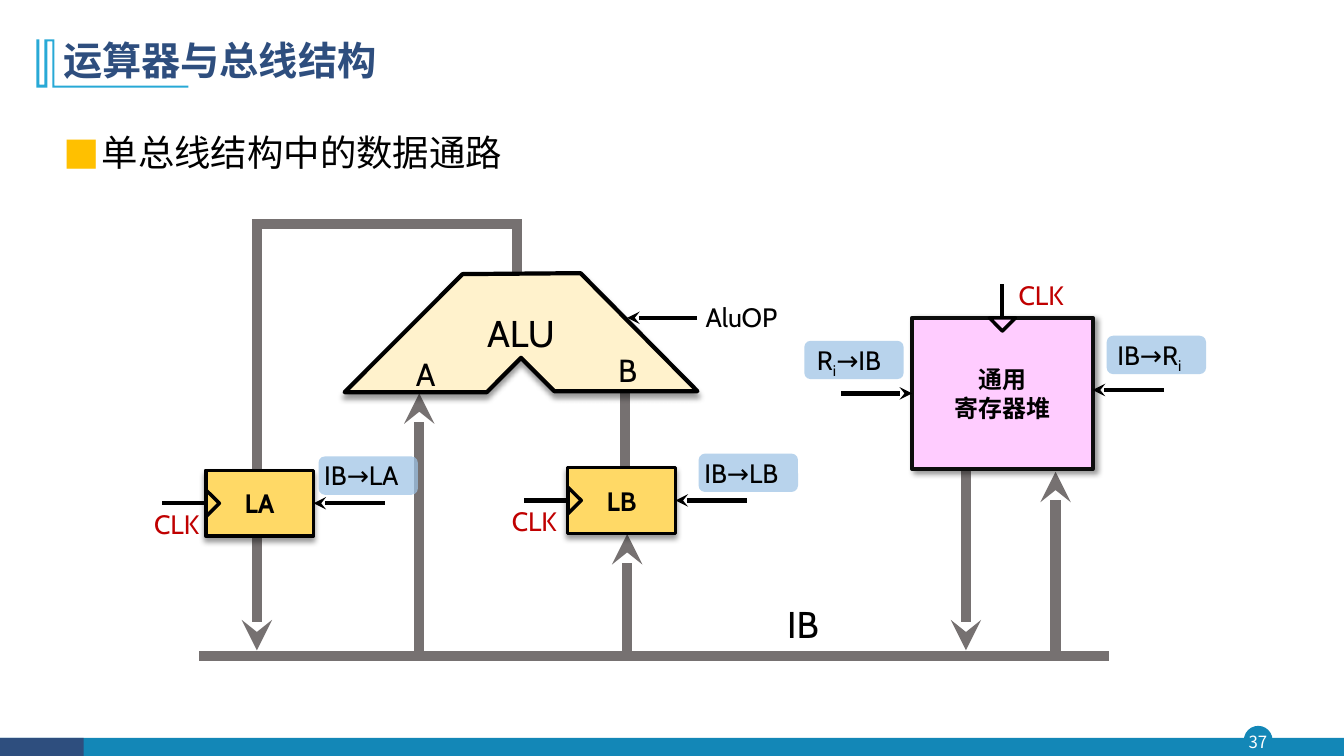
from lxml import etree
from pptx import Presentation
from pptx.dml.color import RGBColor
from pptx.enum.shapes import MSO_CONNECTOR, MSO_SHAPE
from pptx.enum.text import MSO_ANCHOR, MSO_AUTO_SIZE, PP_ALIGN
from pptx.oxml.ns import qn
from pptx.util import Pt

RECT, ROUND = MSO_SHAPE.RECTANGLE, MSO_SHAPE.ROUNDED_RECTANGLE
OVAL, TRIANGLE = MSO_SHAPE.OVAL, MSO_SHAPE.ISOSCELES_TRIANGLE
STRAIGHT = MSO_CONNECTOR.STRAIGHT
LEFT, CENTER, RIGHT, JUSTIFY = (PP_ALIGN.LEFT, PP_ALIGN.CENTER,
                                PP_ALIGN.RIGHT, PP_ALIGN.JUSTIFY)
TOP, MIDDLE = MSO_ANCHOR.TOP, MSO_ANCHOR.MIDDLE
NO_FIT = MSO_AUTO_SIZE.NONE

LATIN, CJK = "Cabin", "Noto Sans CJK SC"
BLACK, WHITE, RED, GREY = "000000", "FFFFFF", "C00000", "767171"
NAVY, TEAL, SKY, AMBER = "2E4E7E", "1387B7", "28A9D6", "FFC000"
GOLD, CREAM, PINK, LABEL = "FFD966", "FFF2CC", "FFCCFF", "9DC3E6"


def rgb(value):
    """Turn a hex string into a colour."""
    return RGBColor.from_string(value)


def sub(parent, tag, **attrs):
    """Append a drawing element with attributes."""
    el = etree.SubElement(parent, qn(tag))
    for key, value in attrs.items():
        el.set(key, str(value))
    return el


class Deck:
    """Hold the style and the current slide; lengths are points."""

    def __init__(self):
        """Start a wide deck with one slide."""
        self.prs = Presentation()
        self.prs.slide_width, self.prs.slide_height = Pt(960), Pt(540)
        self.s = self.prs.slides.add_slide(self.prs.slide_layouts[1])

    def format(self, tf, size, color=BLACK, font=LATIN, bold=False, align=LEFT):
        """Format every run of a text frame."""
        for p in tf.paragraphs:
            p.alignment = align
            for r in p.runs:
                r.font.size, r.font.bold = Pt(size), bold
                r.font.color.rgb = rgb(color)
                r.font.name = font
                sub(r._r.get_or_add_rPr(), "a:ea", typeface=font)

    def paint(self, sp, fill, line=None, width=1, shadow=None):
        """Set fill, outline and an optional shadow angle."""
        sp.fill.solid()
        sp.fill.fore_color.rgb = rgb(fill)
        if line:
            sp.line.color.rgb = rgb(line)
            sp.line.width = Pt(width)
        else:
            sp.line.fill.background()
        sp.shadow.inherit = False
        if shadow is not None:
            effects = sp._element.spPr.find(qn("a:effectLst"))
            outer = sub(effects, "a:outerShdw", blurRad=Pt(4), dist=Pt(3),
                        dir=shadow * 60000, algn="t", rotWithShape=0)
            sub(sub(outer, "a:srgbClr", val=BLACK), "a:alpha", val=40000)
        return sp

    def shape(self, kind, x, y, w, h, fill, rotation=0, **style):
        """Add a preset shape."""
        sp = self.s.shapes.add_shape(kind, Pt(x), Pt(y), Pt(w), Pt(h))
        sp.rotation = rotation
        return self.paint(sp, fill, **style)

    def outline(self, points, fill, **style):
        """Add a closed freeform."""
        points = [(Pt(x), Pt(y)) for x, y in points]
        builder = self.s.shapes.build_freeform(*points[0])
        builder.add_line_segments(points[1:], close=True)
        return self.paint(builder.convert_to_shape(), fill, **style)

    def caption(self, sp, text, size, **style):
        """Write centred text in a shape."""
        tf = sp.text_frame
        tf.text = text
        tf.vertical_anchor = MIDDLE
        self.format(tf, size, align=CENTER, **style)

    def text(self, x, y, w, h, text, size=19, wrap=True, **style):
        """Add a text box; return its frame."""
        tf = self.s.shapes.add_textbox(Pt(x), Pt(y), Pt(w), Pt(h)).text_frame
        tf.text = text
        tf.word_wrap = wrap
        self.format(tf, size, **style)
        return tf

    def line(self, x1, y1, x2, y2, color=BLACK, width=3, arrow=False, join=None):
        """Add a line, optionally joined to a (shape, site) at its end."""
        cx = self.s.shapes.add_connector(STRAIGHT, Pt(x1), Pt(y1), Pt(x2), Pt(y2))
        cx.line.color.rgb = rgb(color)
        cx.line.width = Pt(width)
        if arrow:
            sub(cx.line._get_or_add_ln(), "a:tailEnd", type="stealth")
        sub(cx._element.spPr, "a:effectLst")
        if join:
            cx.end_connect(*join)

    def bus(self, *ends, arrow=True):
        """Add a thick grey bus segment."""
        self.line(*ends, color=GREY, width=7.25, arrow=arrow)

    def label(self, x, y, parts, dx=-3):
        """Add a translucent control label; odd parts are subscripts."""
        sp = self.shape(ROUND, x, y, 71, 27.4, LABEL)
        sub(sp._element.spPr.find(".//" + qn("a:srgbClr")), "a:alpha", val=72000)
        tf = self.text(x + dx, y - 1.5, 94, 24.5, "")
        for i, part in enumerate(parts):
            r = tf.paragraphs[0].add_run()
            r.text = part
            if i % 2:
                r._r.get_or_add_rPr().set("baseline", "-25000")
        self.format(tf, 19)

    def latch(self, name, x, y, clk_x, label_x, label_y):
        """Add a clocked latch with its control input."""
        mid = y + 23.5
        box = self.shape(RECT, x, y, 77, 47, GOLD, line=BLACK, width=2.5, shadow=90)
        self.caption(box, name, 19, bold=True)
        self.shape(TRIANGLE, x - 4.35, mid - 4.7, 18.7, 9.4, GOLD, rotation=90,
                   line=BLACK, width=2.5)
        self.line(x + 128, mid, x + 77, mid, arrow=True, join=(box, 3))
        self.line(x - 31, mid, x, mid, join=(box, 1))
        self.text(clk_x, mid - 0.5, 60, 24.5, "CLK", color=RED)
        self.label(label_x, label_y, ("IB→" + name,))

    def frame(self, title, bullet, number):
        """Add the page furniture, the title and the bullet."""
        self.shape(OVAL, 889, 519, 19.5, 19.5, TEAL, line=TEAL)
        self.shape(RECT, 0, 527, 960, 13, TEAL)
        self.shape(RECT, 0, 527, 59.8, 13, NAVY)
        tf = self.text(887, 519, 23, 22.3, number, 12, color=WHITE, font=CJK,
                       align=CENTER)
        tf.margin_left = tf.margin_right = tf.margin_top = tf.margin_bottom = 0
        tf.vertical_anchor = MIDDLE
        self.outline([(38.9, 28.1), (38.9, 61.2), (134.6, 61.2), (134.6, 62.6),
                      (37.4, 62.6), (37.4, 29.5), (33.8, 29.5), (33.8, 62.6),
                      (25.9, 62.6), (25.9, 28.1), (28.1, 28.1), (28.1, 60.5),
                      (31.7, 60.5), (31.7, 28.1)], SKY)
        head, body = self.s.placeholders
        for sp, text, y, h, anchor, spacing in (
                (head, title, 20, 49, MIDDLE, 0.9), (body, bullet, 74, 73, TOP, 1.5)):
            sp.left, sp.top, sp.width, sp.height = Pt(38), Pt(y), Pt(828), Pt(h)
            tf = sp.text_frame
            tf.text = text
            tf.vertical_anchor, tf.auto_size = anchor, NO_FIT
            tf.paragraphs[0].line_spacing = spacing
            tf.paragraphs[0].space_before = Pt(0)
        self.format(head.text_frame, 28, NAVY, CJK, bold=True)
        pPr = body.text_frame.paragraphs[0]._p.get_or_add_pPr()
        pPr.set("marL", str(Pt(27.4)))
        pPr.set("indent", str(Pt(-27.4)))
        sub(sub(pPr, "a:buClr"), "a:srgbClr", val=AMBER)
        sub(pPr, "a:buFont", typeface=CJK)
        sub(pPr, "a:buChar", char="■")
        self.format(body.text_frame, 26, font=CJK, align=JUSTIFY)


def main():
    """Build the single-bus data path slide."""
    d = Deck()
    d.frame("运算器与总线结构", "单总线结构中的数据通路", "37")

    d.bus(299.5, 468.5, 299.5, 281)
    d.bus(754, 468.5, 754, 337)
    d.bus(690, 335, 690, 464.5)
    d.bus(448, 468.5, 448, 381.5)
    d.bus(183.5, 160, 183.5, 464.5)
    for ends in ((180, 160, 373, 160), (369.5, 196.5, 369.5, 160),
                 (446.5, 337, 446.5, 278), (142.5, 468.5, 792.5, 468.5)):
        d.bus(*ends, arrow=False)

    alu = d.outline([(330.5, 195.8), (246.2, 280.1), (347.8, 280.1), (372.2, 255.6),
                     (396, 279.4), (498.2, 279.4), (414.7, 195.1)], CREAM,
                    line=BLACK, width=3, shadow=90)
    d.caption(alu, "ALU", 26.6)
    d.text(286.5, 250, 31.7, 34.5, "A", 22.8, wrap=False, align=RIGHT)
    d.text(432, 247, 30.3, 34.5, "B", 22.8, wrap=False, align=RIGHT)
    d.line(498, 227, 448, 227, arrow=True)
    d.text(497, 211.5, 94, 24.5, "AluOP")
    d.text(549.5, 426, 42.5, 39.6, "IB", 26.6, wrap=False, align=RIGHT)

    d.latch("LA", 147, 336, 103, 227.5, 326)
    d.latch("LB", 405.5, 334, 358.5, 499, 324)

    regs = d.shape(RECT, 651.5, 227, 129, 108, PINK, line="0D0D0D", width=3, shadow=45)
    d.caption(regs, "通用\n寄存器堆", 17.1, font=CJK, bold=True)
    d.shape(TRIANGLE, 706.65, 227, 18.7, 9.4, PINK, rotation=180, line=BLACK, width=2.5)
    d.line(716, 203, 716, 227, join=(regs, 0))
    d.text(720.5, 196, 60, 24.5, "CLK", color=RED)
    d.line(601, 281, 651.5, 281, arrow=True, join=(regs, 1))
    d.line(831.5, 278.6, 780.5, 278.6, arrow=True)
    d.label(574.5, 243.4, ("R", "i", "→IB"), 2)
    d.label(790.5, 239.8, ("IB→R", "i"), 0.5)

    d.prs.save("out.pptx")


if __name__ == "__main__":
    main()
